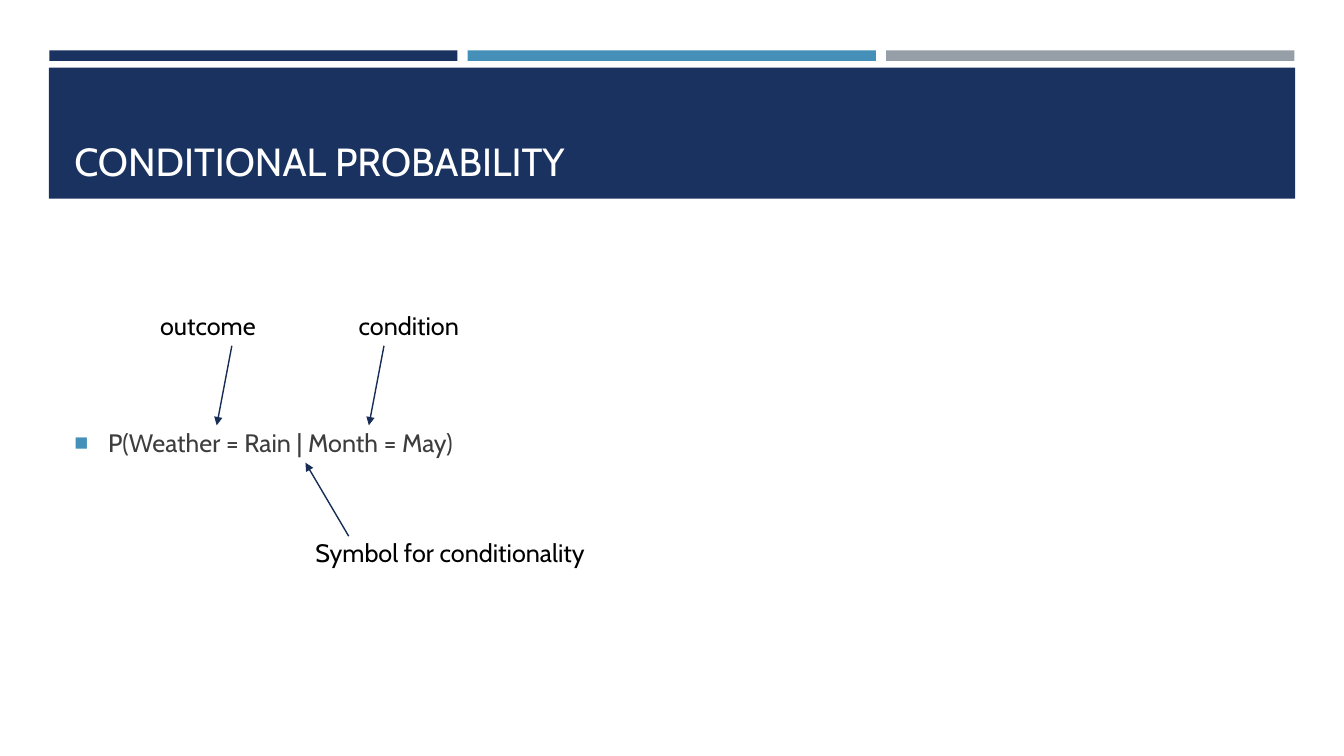
"""Build a slide explaining the notation of conditional probability."""
from lxml import etree
from pptx import Presentation
from pptx.dml.color import RGBColor
from pptx.enum.shapes import MSO_CONNECTOR, MSO_SHAPE
from pptx.enum.text import MSO_ANCHOR
from pptx.oxml.ns import qn
from pptx.util import Pt

RECTANGLE, STRAIGHT = MSO_SHAPE.RECTANGLE, MSO_CONNECTOR.STRAIGHT
TOP, MIDDLE, BOTTOM = MSO_ANCHOR.TOP, MSO_ANCHOR.MIDDLE, MSO_ANCHOR.BOTTOM
NAVY = RGBColor(0x1A, 0x32, 0x60)
BLUE = RGBColor(0x45, 0x90, 0xB8)
GRAY = RGBColor(0x96, 0x9F, 0xA7)
ARROW_NAVY = RGBColor(0x17, 0x2D, 0x56)
CHARCOAL = RGBColor(0x3D, 0x3D, 0x3D)
BLACK = RGBColor(0, 0, 0)
WHITE = RGBColor(0xFF, 0xFF, 0xFF)
FONT = "Cabin"

TITLE = "CONDITIONAL PROBABILITY"
FORMULA = "P(Weather = Rain | Month = May)"
ANNOTATIONS = [
    ("outcome", (107.3, 218.2, 188.6, 29), (165.6, 247), (154.8, 303.8)),
    ("condition", (249.1, 218.2, 188.6, 29), (274.3, 247), (263.5, 303.8)),
    ("Symbol for conditionality", (218.2, 380.2, 219.6, 29), (249.1, 383), (218.2, 330.5)),
]
STRIPES = [NAVY, BLUE, GRAY]
STRIPE_LEFT, STRIPE_TOP, STRIPE_WIDTH, STRIPE_HEIGHT = 35.2, 36, 291.6, 7.5
STRIPE_PITCH = 298.9
BANNER = (34.9, 48.4, 890.3, 93.6)
TITLE_AREA = (46.1, 55.4, 868.3, 79.9)
FORMULA_AREA = (46.1, 171.4, 868.3, 289.4)
BULLET_INDENT = 24


def points(*lengths):
    return [Pt(length) for length in lengths]


def add_block(slide, area, color):
    block = slide.shapes.add_shape(RECTANGLE, *points(*area))
    block.shadow.inherit = False
    block.fill.solid()
    block.fill.fore_color.rgb = color
    block.line.fill.background()


def add_bullet(paragraph, color):
    properties = paragraph._p.get_or_add_pPr()
    properties.set("marL", str(Pt(BULLET_INDENT)))
    properties.set("indent", str(-Pt(BULLET_INDENT)))
    bullet_color = etree.SubElement(properties, qn("a:buClr"))
    etree.SubElement(bullet_color, qn("a:srgbClr"), val=str(color))
    etree.SubElement(properties, qn("a:buSzPct"), val="92000")
    etree.SubElement(properties, qn("a:buFont"), typeface="Arial")
    etree.SubElement(properties, qn("a:buChar"), char="■")


def add_text(slide, text, area, size=18, color=BLACK, anchor=TOP, bullet=None):
    frame = slide.shapes.add_textbox(*points(*area)).text_frame
    frame.word_wrap = True
    frame.vertical_anchor = anchor
    paragraph = frame.paragraphs[0]
    if bullet is not None:
        add_bullet(paragraph, bullet)
    run = paragraph.add_run()
    run.text = text
    run.font.name = FONT
    run.font.size = Pt(size)
    run.font.color.rgb = color


def add_arrow(slide, start, end):
    arrow = slide.shapes.add_connector(STRAIGHT, *points(*start, *end))
    arrow.line.color.rgb = ARROW_NAVY
    arrow.line.width = Pt(1)
    etree.SubElement(arrow.line._get_or_add_ln(), qn("a:tailEnd"), type="triangle")
    etree.SubElement(arrow._element.spPr, qn("a:effectLst"))


def main():
    deck = Presentation()
    deck.slide_width, deck.slide_height = points(960, 540)
    slide = deck.slides.add_slide(deck.slide_layouts[6])

    for column, color in enumerate(STRIPES):
        left = STRIPE_LEFT + column * STRIPE_PITCH
        add_block(slide, (left, STRIPE_TOP, STRIPE_WIDTH, STRIPE_HEIGHT), color)
    add_block(slide, BANNER, NAVY)

    add_text(slide, TITLE, TITLE_AREA, size=28, color=WHITE, anchor=BOTTOM)
    add_text(slide, FORMULA, FORMULA_AREA, color=CHARCOAL, anchor=MIDDLE, bullet=BLUE)
    for label, area, start, end in ANNOTATIONS:
        add_text(slide, label, area)
        add_arrow(slide, start, end)

    deck.save("out.pptx")


if __name__ == "__main__":
    main()
